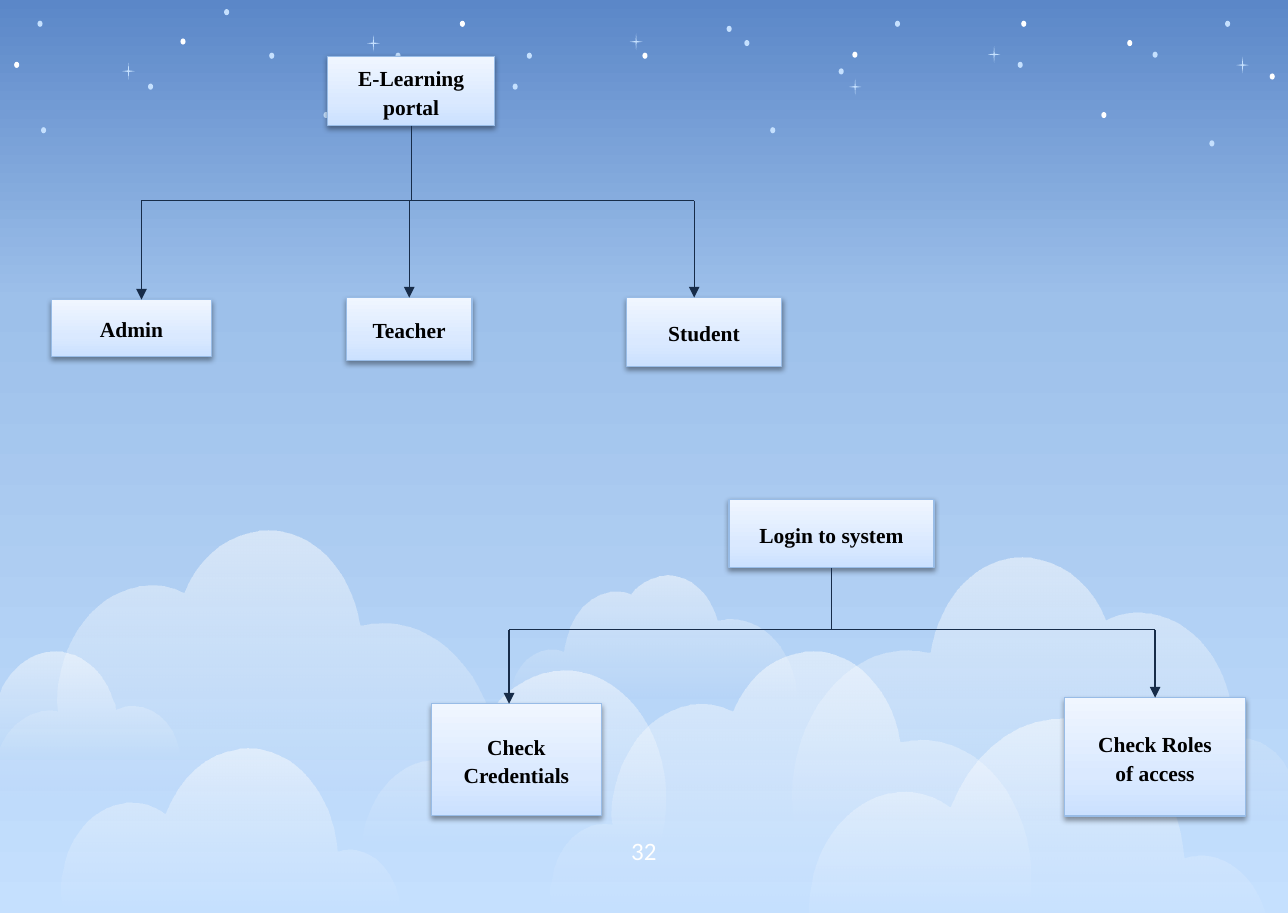
from lxml import etree
from pptx import Presentation
from pptx.dml.color import RGBColor
from pptx.enum.shapes import MSO_CONNECTOR, MSO_SHAPE
from pptx.enum.text import MSO_ANCHOR, PP_ALIGN
from pptx.oxml.ns import qn
from pptx.util import Cm, Pt

STRAIGHT = MSO_CONNECTOR.STRAIGHT
RECTANGLE, OVAL, STAR = MSO_SHAPE.RECTANGLE, MSO_SHAPE.OVAL, MSO_SHAPE.STAR_4_POINT
MIDDLE, CENTER = MSO_ANCHOR.MIDDLE, PP_ALIGN.CENTER
TOP, BOTTOM = 0, 2

WHITE = RGBColor(0xFF, 0xFF, 0xFF)
BLACK = RGBColor(0x00, 0x00, 0x00)
PALE = RGBColor(0xC5, 0xE0, 0xFE)
NAVY = RGBColor(0x17, 0x2C, 0x49)
BORDER = RGBColor(0x98, 0xBC, 0xE7)
SKY = [(0, RGBColor(0x5B, 0x87, 0xC8), 100), (33, RGBColor(0x9D, 0xC0, 0xEA), 100), (100, PALE, 100)]
MIST = [(0, WHITE, 51), (100, WHITE, 0)]
BOX_FILL = [(0, RGBColor(0xCB, 0xE1, 0xFF), 100), (35, RGBColor(0xDA, 0xE9, 0xFF), 100),
            (100, RGBColor(0xF0, 0xF6, 0xFF), 100)]

TREES = [
    {"root": ("E-Learning portal", (6.46, 1.11, 3.3, 1.37)), "bar": 3.96,
     "children": [("Admin", (1.02, 5.91, 3.15, 1.12), 2.79),
                  ("Teacher", (6.83, 5.87, 2.48, 1.24), 8.07),
                  ("Student", (12.35, 5.87, 3.07, 1.36), 13.69)]},
    {"root": ("Login to system", (14.38, 9.85, 4.04, 1.35)), "bar": 12.42,
     "children": [("Check Credentials", (8.51, 13.88, 3.35, 2.21), 10.04),
                  ("Check Roles\vof access", (21, 13.76, 3.56, 2.34), 22.78)]},
]

BIG = {"size": (392, 212), "start": (390, 212), "curves": [
    (391, 203, 392, 194, 392, 185), (392, 123, 352, 72, 302, 72), (296, 72, 291, 73, 285, 74),
    (277, 24, 239, -8, 200, 2), (178, 7, 159, 24, 149, 49), (112, 31, 70, 54, 55, 102),
    (52, 112, 50, 123, 50, 134), (50, 137, 51, 139, 51, 141), (27, 136, 4, 157, 1, 188),
    (0, 190, 0, 193, 0, 196), (0, 201, 1, 207, 2, 212)]}
PAIR = {"size": (236, 136), "start": (230, 136), "curves": [
    (246, 85, 226, 27, 186, 7), (146, -13, 100, 11, 84, 62), (82, 66, 81, 70, 81, 74),
    (51, 59, 16, 77, 4, 114), (1, 121, 0, 128, 0, 136)]}
SMALL = {"size": (223, 96), "start": (222, 96), "curves": [
    (221, 59, 196, 32, 167, 34), (164, 34, 162, 35, 160, 35), (153, 9, 130, -6, 109, 3),
    (103, 5, 97, 9, 93, 15), (71, 7, 49, 22, 43, 49), (42, 52, 41, 56, 41, 59),
    (25, 52, 7, 63, 1, 83), (0, 87, 0, 91, 0, 96)]}
TRIO = {"size": (357, 172), "start": (356, 172), "curves": [
    (355, 135, 330, 106, 301, 107), (297, 107, 294, 108, 290, 109), (285, 43, 239, -5, 187, 1),
    (153, 5, 124, 31, 109, 70), (74, 44, 30, 60, 9, 104), (0, 124, -3, 149, 2, 172)]}
CLOUDS = [
    (BIG, -0.15, 10.46, 9.96, 5.38, False),
    (PAIR, 7.14, 13.23, 5.99, 3.45, False),
    (SMALL, 10.08, 11.35, 5.66, 2.44, False),
    (BIG, 10.85, 12.85, 9.47, 5.13, False),
    (TRIO, 1.22, 14.76, 6.68, 3.2, False),
    (PAIR, -0.15, 12.85, 3.68, 2.11, True),
    (TRIO, 15.98, 14.17, 9.07, 4.34, False),
    (BIG, 15.62, 11, 9.96, 5.38, True),
]

PALE_DOTS = [(24.16, 0.41), (14.33, 0.51), (20.07, 1.22), (17.65, 0.41), (10.39, 1.04), (7.8, 1.04),
             (5.31, 1.04), (0.74, 0.41), (2.92, 1.65), (14.68, 0.79), (16.54, 1.35), (4.42, 0.18),
             (10.11, 1.65), (22.73, 1.02), (6.38, 2.21), (15.19, 2.51), (0.81, 2.51), (23.85, 2.77)]
WHITE_DOTS = [(20.14, 0.41), (22.23, 0.79), (9.07, 0.41), (3.56, 0.76), (25.04, 1.45), (0.28, 1.22),
              (12.67, 1.04), (16.81, 1.02), (21.72, 2.21)]
TWINKLES = [(2.41, 1.24), (19.48, 0.91), (24.38, 1.12), (12.42, 0.66), (7.24, 0.69), (16.74, 1.55)]


def add_element(parent, tag, **attributes):
    return etree.SubElement(parent, qn(tag), {key: str(value) for key, value in attributes.items()})


def set_gradient(fill, properties, stops, angle):
    fill.solid()
    gradient = etree.Element(qn("a:gradFill"), rotWithShape="1")
    stop_list = add_element(gradient, "a:gsLst")
    for position, color, opacity in stops:
        stop = add_element(stop_list, "a:gs", pos=position * 1000)
        color_element = add_element(stop, "a:srgbClr", val=color)
        if opacity < 100:
            add_element(color_element, "a:alpha", val=opacity * 1000)
    add_element(gradient, "a:lin", ang=angle * 60000, scaled=0)
    properties.replace(properties.find(qn("a:solidFill")), gradient)


def write_text(shape, text, size, font, color, bold=False, line_spacing=1.0, space_after=0):
    frame = shape.text_frame
    frame.word_wrap = True
    frame.vertical_anchor = MIDDLE
    paragraph = frame.paragraphs[0]
    paragraph.text = text
    paragraph.alignment = CENTER
    paragraph.line_spacing = line_spacing
    paragraph.space_after = Pt(space_after)
    paragraph.font.size = Pt(size)
    paragraph.font.name = font
    paragraph.font.bold = bold
    paragraph.font.color.rgb = color


def add_cloud(slide, outline, left, top, width, height, flipped):
    full_width, full_height = outline["size"]
    builder = slide.shapes.build_freeform(*outline["start"])
    builder.add_line_segments([curve[4:] for curve in outline["curves"]], close=True)
    cloud = builder.convert_to_shape()
    cloud.left, cloud.top, cloud.width, cloud.height = map(Cm, (left, top, width, height))
    outline_path = cloud.element.find(".//" + qn("a:path"))
    outline_path.set("w", str(full_width))
    outline_path.set("h", str(full_height))
    for child in list(outline_path):
        outline_path.remove(child)
    segments = [("a:moveTo", outline["start"])] + [("a:cubicBezTo", curve) for curve in outline["curves"]]
    for tag, numbers in segments:
        segment = add_element(outline_path, tag)
        for x, y in zip(numbers[::2], numbers[1::2]):
            add_element(segment, "a:pt", x=full_width - x if flipped else x, y=y)
    add_element(outline_path, "a:close")
    cloud.shadow.inherit = False
    cloud.line.fill.background()
    set_gradient(cloud.fill, cloud.element.spPr, MIST, 90)


def add_star(slide, kind, position, width, height, color):
    star = slide.shapes.add_shape(kind, *map(Cm, (*position, width, height)))
    star.shadow.inherit = False
    star.fill.solid()
    star.fill.fore_color.rgb = color
    star.line.fill.background()
    return star


def add_box(slide, text, place):
    box = slide.shapes.add_shape(RECTANGLE, *map(Cm, place))
    box.shadow.inherit = False
    set_gradient(box.fill, box.element.spPr, BOX_FILL, 270)
    box.line.color.rgb = BORDER
    box.line.width = Pt(0.75)
    effects = box.element.spPr.find(qn("a:effectLst"))
    shadow = add_element(effects, "a:outerShdw", blurRad=Pt(3.1), dist=Pt(1.6), dir=90 * 60000, rotWithShape=0)
    add_element(add_element(shadow, "a:srgbClr", val=BLACK), "a:alpha", val=38000)
    write_text(box, text, 12, "Times New Roman", BLACK, bold=True, line_spacing=1.11, space_after=10.4)
    return box


def add_line(slide, start, end, arrow=False):
    line = slide.shapes.add_connector(STRAIGHT, *map(Cm, (*start, *end)))
    line.line.color.rgb = NAVY
    line.line.width = Pt(0.75)
    if arrow:
        add_element(line.line._get_or_add_ln(), "a:tailEnd", type="triangle")
    add_element(line.element.spPr, "a:effectLst")
    return line


def add_tree(slide, root, bar, children):
    text, place = root
    left, top, width, height = place
    root_box = add_box(slide, text, place)
    middle = left + width / 2
    trunk = add_line(slide, (middle, top + height), (middle, bar))
    trunk.begin_connect(root_box, BOTTOM)
    add_line(slide, (children[0][2], bar), (children[-1][2], bar))
    for text, place, drop in children:
        left, top, width, height = place
        child_box = add_box(slide, text, place)
        branch = add_line(slide, (drop, bar), (drop, top), arrow=True)
        if abs(left + width / 2 - drop) < 0.01:
            branch.end_connect(child_box, TOP)


def main():
    presentation = Presentation()
    presentation.slide_width, presentation.slide_height = Cm(25.4), Cm(18.01)
    slide = presentation.slides.add_slide(presentation.slide_layouts[6])
    background = slide.background.fill
    background.solid()
    set_gradient(background, slide.element.find(".//" + qn("p:bgPr")), SKY, 90)
    for cloud in CLOUDS:
        add_cloud(slide, *cloud)
    for color, dots in ((PALE, PALE_DOTS), (WHITE, WHITE_DOTS)):
        for position in dots:
            add_star(slide, OVAL, position, 0.1, 0.12, color)
    for position in TWINKLES:
        add_star(slide, STAR, position, 0.25, 0.33, PALE).adjustments[0] = 0.06
    for tree in TREES:
        add_tree(slide, **tree)
    page_number = slide.shapes.add_textbox(Cm(11.43), Cm(16.27), Cm(2.54), Cm(1))
    write_text(page_number, "32", 14, "Calibri", WHITE)
    presentation.save("out.pptx")


if __name__ == "__main__":
    main()
